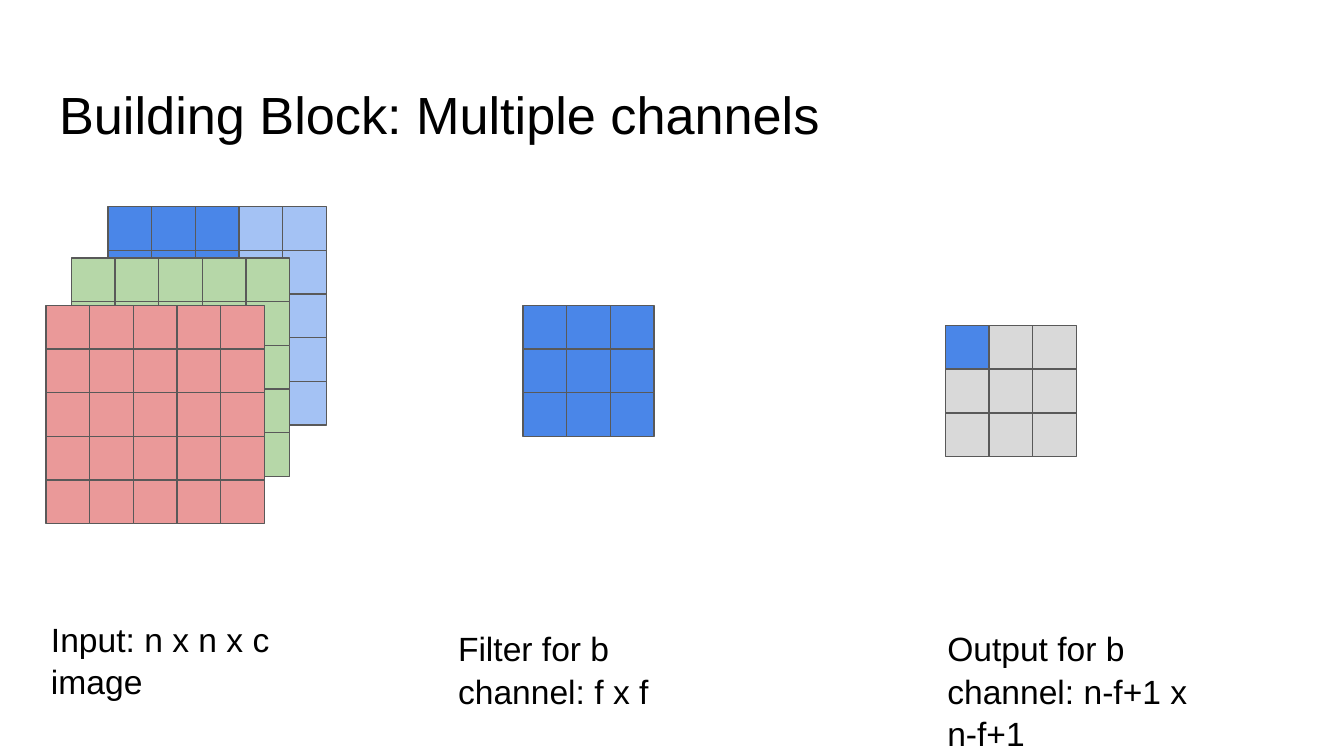
import pptx
import pptx.dml.color
import pptx.enum.shapes
import pptx.enum.text
import pptx.util

Pt = pptx.util.Pt
COLORS = {
    "text": "000000",
    "line": "595959",
    "blue": "4A86E8",
    "light_blue": "A4C2F4",
    "green": "B6D7A8",
    "red": "EA9999",
    "gray": "D9D9D9",
}
CELL = 23.4


def rgb(name):
    return pptx.dml.color.RGBColor.from_string(COLORS[name])


class Deck:
    font = "Arial"
    line_width = 0.75
    frame_format = {
        "word_wrap": True,
        "auto_size": pptx.enum.text.MSO_AUTO_SIZE.NONE,
        "vertical_anchor": pptx.enum.text.MSO_ANCHOR.TOP,
        "margin_left": Pt(7.2),
        "margin_top": Pt(7.2),
        "margin_right": Pt(7.2),
        "margin_bottom": Pt(7.2),
    }
    paragraph_format = {
        "alignment": pptx.enum.text.PP_ALIGN.LEFT,
        "line_spacing": 1.05,
        "space_before": Pt(0),
    }

    def __init__(self, slide):
        self.s = slide

    def set_text(self, sp, text, size):
        tf = sp.text_frame
        for name, value in self.frame_format.items():
            setattr(tf, name, value)
        p = tf.paragraphs[0]
        for name, value in self.paragraph_format.items():
            setattr(p, name, value)
        r = p.add_run()
        r.text = text
        for name, value in {"name": self.font, "size": Pt(size)}.items():
            setattr(r.font, name, value)
        r.font.color.rgb = rgb("text")

    def title(self, text, x, y, w, h):
        sp = self.s.shapes.title
        box = {"left": x, "top": y, "width": w, "height": h}
        for name, value in box.items():
            setattr(sp, name, Pt(value))
        self.set_text(sp, text, 28)

    def label(self, text, x, y):
        sp = self.s.shapes.add_textbox(Pt(x), Pt(y), Pt(154.8), Pt(52.6))
        self.set_text(sp, text, 18)

    def grid(self, x, y, n, color, marked=0):
        group = self.s.shapes.add_group_shape()
        for row in range(n):
            for col in range(n):
                sp = group.shapes.add_shape(
                    pptx.enum.shapes.MSO_SHAPE.RECTANGLE,
                    Pt(x + col * CELL), Pt(y + row * CELL), Pt(CELL), Pt(CELL),
                )
                sp.shadow.inherit = False
                sp.fill.solid()
                is_marked = row < marked and col < marked
                sp.fill.fore_color.rgb = rgb("blue" if is_marked else color)
                sp.line.color.rgb = rgb("line")
                sp.line.width = Pt(self.line_width)


def main():
    prs = pptx.Presentation()
    prs.slide_width, prs.slide_height = Pt(720), Pt(405)
    deck = Deck(prs.slides.add_slide(prs.slide_layouts[5]))

    deck.title("Building Block: Multiple channels", 24.5, 35.3, 671, 45.4)

    deck.grid(57.8, 110.7, 5, "light_blue", marked=3)
    deck.grid(38.3, 138.2, 5, "green")
    deck.grid(24.7, 163.6, 5, "red")
    deck.grid(280.2, 163.6, 3, "blue")
    deck.grid(506.4, 174.4, 3, "gray", marked=1)

    deck.label("Input: n x n x c image", 20.2, 323.3)
    deck.label("Filter for b channel: f x f", 238.3, 328.3)
    deck.label("Output for b channel: n-f+1 x n-f+1", 500.4, 328.3)

    prs.save("out.pptx")


if __name__ == "__main__":
    main()
